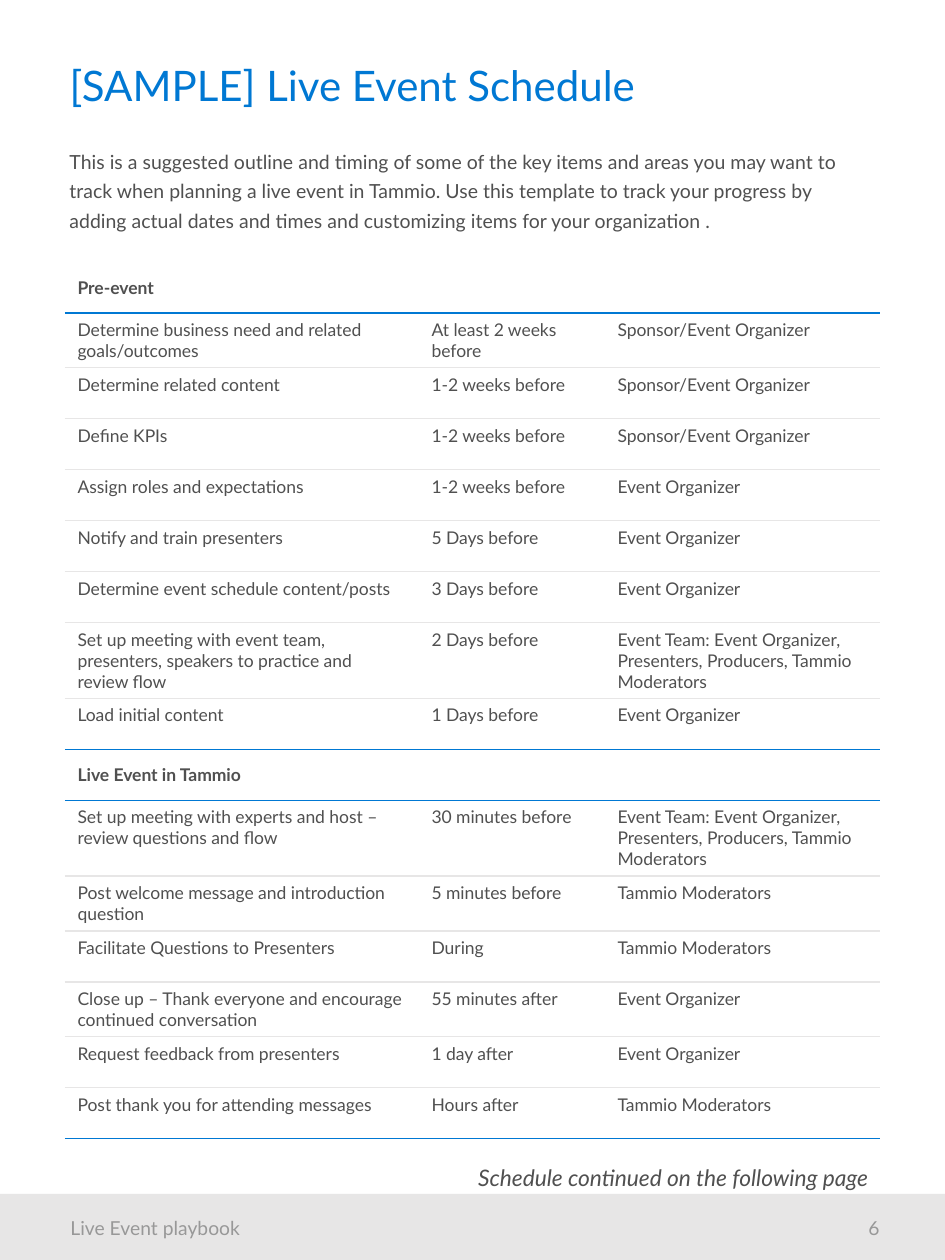
from lxml.etree import SubElement
from pptx import Presentation
from pptx.dml.color import RGBColor
from pptx.enum.shapes import MSO_SHAPE
from pptx.enum.text import MSO_ANCHOR as Anchor, MSO_AUTO_SIZE as AutoSize, PP_ALIGN as Align
from pptx.oxml.ns import qn
from pptx.util import Emu, Pt

EMU_PER_PX = 914400 / 126
PAGE_W, PAGE_H = 945, 1260
FOOTER_TOP = 1194
FONT = "Lato"
NO_STYLE_NO_GRID = "{2D5ABB26-0587-4C30-8999-92F81FD0307C}"
COLORS = {
    "accent": "0078D3",
    "text": "505050",
    "muted": "989898",
    "rule": "E7E6E6",
}

INTRO = (
    "This is a suggested outline and timing of some of the key items and areas you may want to "
    "track when planning a live event in Tammio. Use this template to track your progress by "
    "adding actual dates and times and customizing items for your organization ."
)
ORGANIZER = "Event Organizer"
SPONSOR = "Sponsor/Event Organizer"
MODERATORS = "Tammio Moderators"
TEAM = "Event Team: Event Organizer, Presenters, Producers, Tammio Moderators"

COLUMN_WIDTHS = [354, 186, 275]
ROW_HEIGHT = 51
SCHEDULE = {
    "Pre-event": [
        ("Determine business need and related goals/outcomes", "At least 2 weeks before", SPONSOR),
        ("Determine related content", "1-2 weeks before", SPONSOR),
        ("Define KPIs", "1-2 weeks before", SPONSOR),
        ("Assign roles and expectations", "1-2 weeks before", ORGANIZER),
        ("Notify and train presenters", "5 Days before", ORGANIZER),
        ("Determine event schedule content/posts", "3 Days before", ORGANIZER),
        ("Set up meeting with event team, presenters, speakers to practice and review flow",
         "2 Days before", TEAM),
        ("Load initial content", "1 Days before", ORGANIZER),
    ],
    "Live Event in Tammio": [
        ("Set up meeting with experts and host – review questions and flow",
         "30 minutes before", TEAM),
        ("Post welcome message and introduction question", "5 minutes before", MODERATORS),
        ("Facilitate Questions to Presenters", "During", MODERATORS),
        ("Close up – Thank everyone and encourage continued conversation",
         "55 minutes after", ORGANIZER),
        ("Request feedback from presenters", "1 day after", ORGANIZER),
        ("Post thank you for attending messages", "Hours after", MODERATORS),
    ],
}


def px(length):
    return Emu(round(length * EMU_PER_PX))


def rgb(name):
    return RGBColor.from_string(COLORS[name])


def write(paragraph, text, size, color, bold=False, italic=False):
    run = paragraph.add_run()
    run.text = text
    font = run.font
    font.name, font.size, font.bold, font.italic = FONT, Pt(size), bold, italic
    font.color.rgb = rgb(color)


def add_title(slide, text, left, top, width, height):
    title = slide.shapes.title
    title.left, title.top, title.width, title.height = map(px, (left, top, width, height))
    frame = title.text_frame
    frame.word_wrap, frame.auto_size = True, AutoSize.NONE
    frame.vertical_anchor = Anchor.MIDDLE
    paragraph = frame.paragraphs[0]
    paragraph.alignment, paragraph.line_spacing = Align.LEFT, 0.9
    write(paragraph, text, 24, "accent")


def add_text(slide, text, left, top, width, height, size, color, align=Align.LEFT,
             anchor=Anchor.TOP, line_points=None, before=0, italic=False):
    frame = slide.shapes.add_textbox(*map(px, (left, top, width, height))).text_frame
    frame.word_wrap, frame.vertical_anchor = True, anchor
    paragraph = frame.paragraphs[0]
    paragraph.alignment, paragraph.space_before = align, Pt(before)
    if line_points:
        paragraph.line_spacing = Pt(line_points)
    write(paragraph, text, size, color, italic=italic)


def add_footer(slide, label, page):
    bar = slide.shapes.add_shape(
        MSO_SHAPE.RECTANGLE, 0, px(FOOTER_TOP), px(PAGE_W), px(PAGE_H - FOOTER_TOP))
    bar.shadow.inherit = False
    bar.fill.solid()
    bar.fill.fore_color.rgb = rgb("rule")
    bar.line.fill.background()
    add_text(slide, label, 58, FOOTER_TOP, 319, 67, 11, "muted", anchor=Anchor.MIDDLE)
    add_text(slide, page, 679, FOOTER_TOP, 213, 67, 11, "muted", Align.RIGHT, Anchor.MIDDLE)


def set_border(cell, side, color, position):
    """Put a 1 pt line on one side; position is its place among the cell's lines."""
    properties = cell._tc.get_or_add_tcPr()
    line = SubElement(properties, qn(f"a:{side}"), w=str(Pt(1)))
    fill = SubElement(line, qn("a:solidFill"))
    SubElement(fill, qn("a:srgbClr"), val=COLORS[color])
    properties.insert(position, line)


def add_schedule(slide, left, top):
    rows = []
    for phase, tasks in SCHEDULE.items():
        rows += [(phase, "", ""), *tasks]
    frame = slide.shapes.add_table(
        len(rows), len(COLUMN_WIDTHS), px(left), px(top),
        px(sum(COLUMN_WIDTHS)), px(ROW_HEIGHT * len(rows)))
    table = frame.table
    table.horz_banding = False
    table._tbl.tblPr.find(qn("a:tableStyleId")).text = NO_STYLE_NO_GRID
    for column, width in zip(table.columns, COLUMN_WIDTHS):
        column.width = px(width)

    # Accent lines enclose each phase heading and close the table.
    above = None
    for index, values in enumerate(rows):
        heading = values[0] in SCHEDULE
        last = index == len(rows) - 1
        below = "accent" if heading or last or rows[index + 1][0] in SCHEDULE else "rule"
        table.rows[index].height = px(ROW_HEIGHT)
        for cell, text in zip(table.rows[index].cells, values):
            cell.fill.background()
            if above:
                set_border(cell, "lnT", above, 0)
            set_border(cell, "lnB", below, 1 if above else 0)
            cell.vertical_anchor = Anchor.MIDDLE if heading else Anchor.TOP
            if text:
                write(cell.text_frame.paragraphs[0], text, 10, "text", bold=heading)
        above = below


def main():
    deck = Presentation()
    deck.slide_width, deck.slide_height = px(PAGE_W), px(PAGE_H)
    slide = deck.slides.add_slide(deck.slide_layouts[5])
    add_footer(slide, "Live Event playbook", "6")
    add_title(slide, "[SAMPLE] Live Event Schedule", 57, 39, 815, 98)
    add_text(slide, INTRO, 57, 137, 815, 107, 11.1, "text", line_points=17, before=12)
    add_schedule(slide, 65, 262)
    add_text(slide, "Schedule continued on the following page", 65, 1150, 815, 88, 13, "text",
             Align.RIGHT, line_points=20, before=14, italic=True)
    deck.save("out.pptx")


if __name__ == "__main__":
    main()
